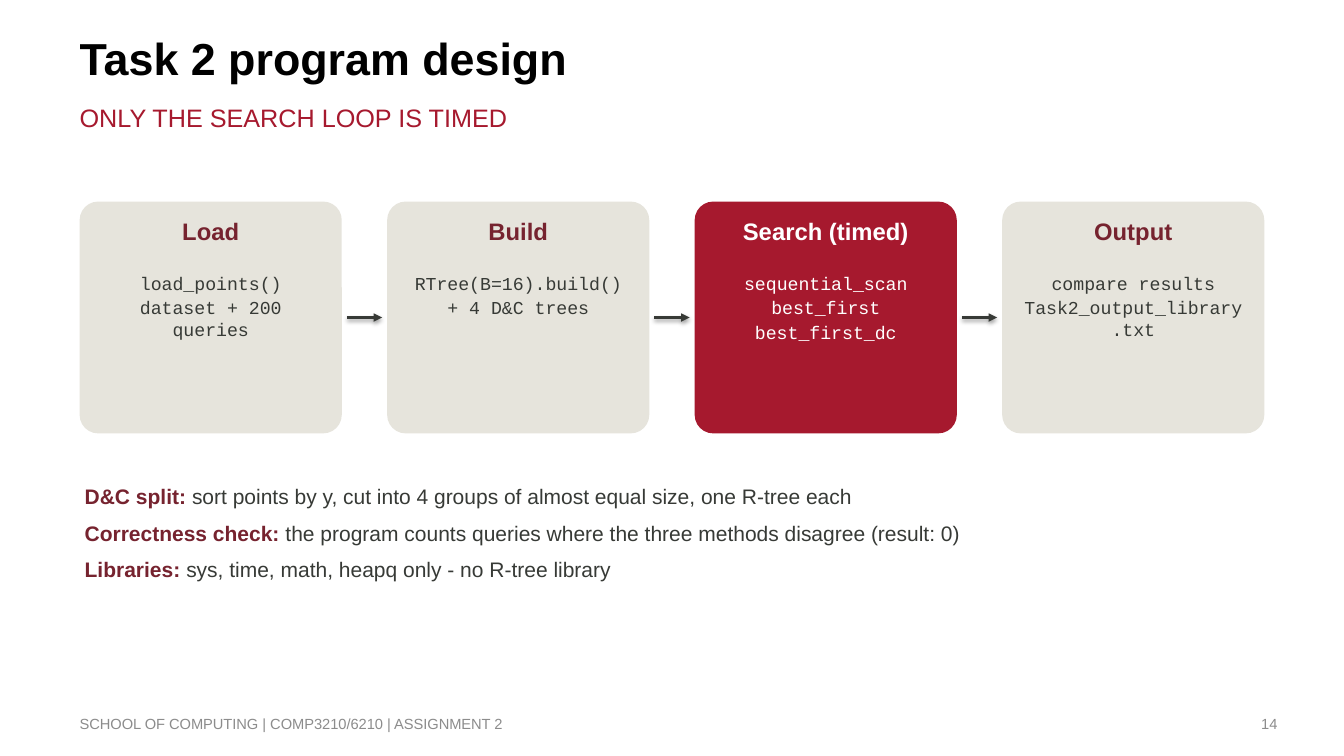
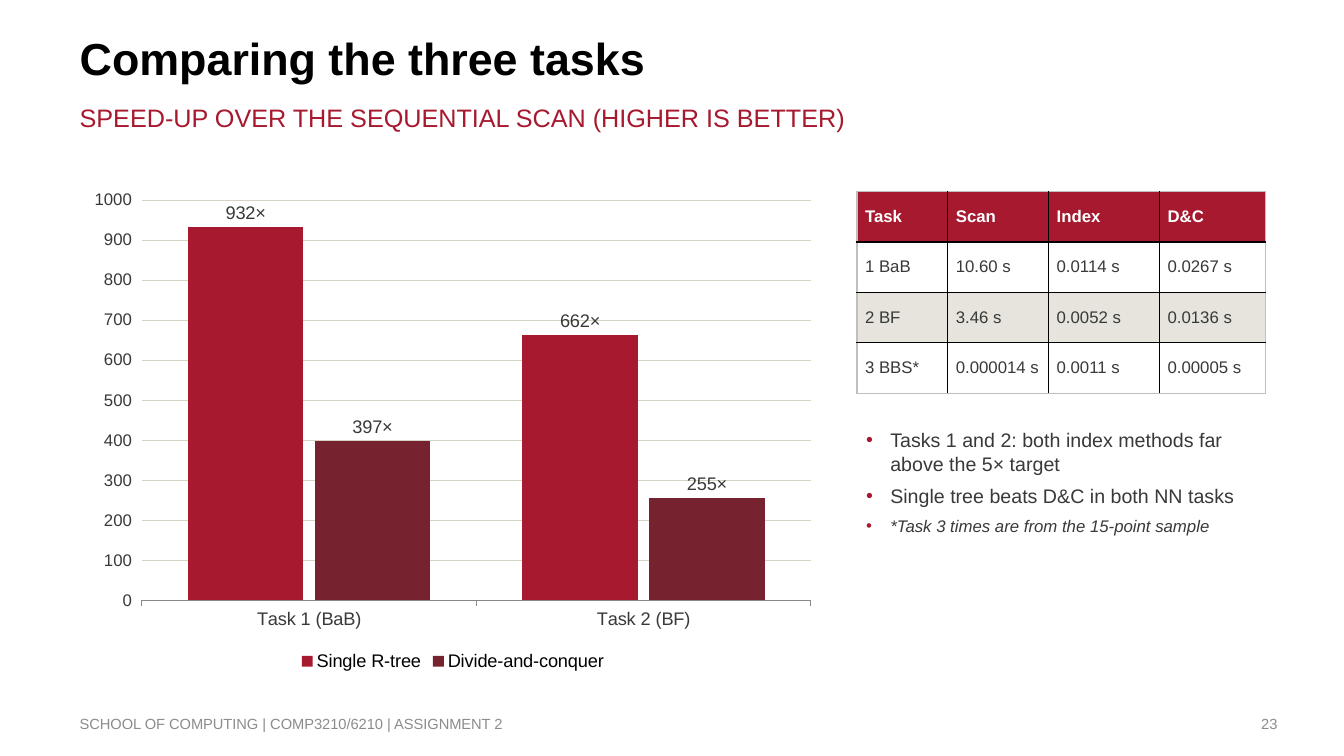
import pptx
import pptx.util
import pptx.chart.data
import pptx.dml.color
import pptx.enum.chart
import pptx.enum.shapes
import pptx.enum.text
import pptx.oxml
import pptx.oxml.ns

Inches, Pt = pptx.util.Inches, pptx.util.Pt
RGBColor = pptx.dml.color.RGBColor
ALIGN = pptx.enum.text.PP_ALIGN
ANCHOR = pptx.enum.text.MSO_ANCHOR
qn = pptx.oxml.ns.qn
NS = pptx.oxml.ns.nsdecls("a")

RED = RGBColor(0xA6, 0x19, 0x2E)
MAROON = RGBColor(0x76, 0x23, 0x2F)
SAND = RGBColor(0xE6, 0xE4, 0xDC)
GRID = RGBColor(0xD6, 0xD2, 0xC4)
INK = RGBColor(0x37, 0x3A, 0x36)
GRAY = RGBColor(0x8C, 0x8C, 0x8C)
EDGE = RGBColor(0xBF, 0xBF, 0xBF)
BLACK = RGBColor(0, 0, 0)
WHITE = RGBColor(255, 255, 255)

LEFT = 0.79
FOOTER = "SCHOOL OF COMPUTING | COMP3210/6210 | ASSIGNMENT 2"

TITLE_FONT = {"size": 32, "bold": True, "color": BLACK}
SUBTITLE_FONT = {"size": 18, "color": RED}
FOOTER_FONT = {"size": 10.5, "color": GRAY}
LABEL_FONT = {"size": 13, "color": INK}

STEPS = [
    ("Load", ["load_points()", "dataset + 200 queries"]),
    ("Build", ["RTree(B=16).build()", "+ 4 D&C trees"]),
    ("Search (timed)", ["sequential_scan", "best_first", "best_first_dc"]),
    ("Output", ["compare results", "Task2_output_library.txt"]),
]
TIMED_STEP = 2
NOTES = [
    ("D&C split: ", "sort points by y, cut into 4 groups of almost equal size, one R-tree each"),
    ("Correctness check: ", "the program counts queries where the three methods disagree (result: 0)"),
    ("Libraries: ", "sys, time, math, heapq only - no R-tree library"),
]

TASKS = ["Task 1 (BaB)", "Task 2 (BF)"]
SPEEDUPS = [("Single R-tree", [932, 662], RED), ("Divide-and-conquer", [397, 255], MAROON)]
COLUMN_WIDTHS = [0.9, 1, 1.1, 1.05]
ROW_HEIGHT = 0.5
TIMES = [
    ["Task", "Scan", "Index", "D&C"],
    ["1 BaB", "10.60 s", "0.0114 s", "0.0267 s"],
    ["2 BF", "3.46 s", "0.0052 s", "0.0136 s"],
    ["3 BBS*", "0.000014 s", "0.0011 s", "0.00005 s"],
]
FINDINGS = [
    ("Tasks 1 and 2: both index methods far above the 5× target", {"size": 14}),
    ("Single tree beats D&C in both NN tasks", {"size": 14}),
    ("*Task 3 times are from the 15-point sample", {"size": 12, "italic": True}),
]


def set_font(font, fmt):
    for key, value in ({"name": "Arial"} | fmt).items():
        if key == "color":
            font.color.rgb = value
        else:
            setattr(font, key, Pt(value) if key == "size" else value)


def add_text(slide, at, paragraphs, inset=0.05, anchor=ANCHOR.TOP, align=ALIGN.LEFT, after=0):
    """Add a text box; each paragraph is a list of (text, format) runs."""
    tf = slide.shapes.add_textbox(*map(Inches, at)).text_frame
    tf.word_wrap = True
    tf.vertical_anchor = anchor
    for side in ("left", "top", "right", "bottom"):
        setattr(tf, f"margin_{side}", Inches(inset))
    for i, runs in enumerate(paragraphs):
        p = tf.add_paragraph() if i else tf.paragraphs[0]
        p.alignment = align
        p.space_after = Pt(after)
        for text, fmt in runs:
            r = p.add_run()
            r.text = text
            set_font(r.font, fmt)
    return tf


def add_base_slide(prs, title, subtitle, number):
    """Add a blank slide with the shared heading and footer."""
    slide = prs.slides.add_slide(prs.slide_layouts[6])
    add_text(slide, (LEFT, 0.3, 9.25, 0.71), [[(title, TITLE_FONT)]], inset=0)
    add_text(slide, (LEFT, 1.02, 9.34, 0.46), [[(subtitle, SUBTITLE_FONT)]], inset=0)
    for x, w, text, align in ((LEFT, 5.88, FOOTER, ALIGN.LEFT), (9.56, 3.11, number, ALIGN.RIGHT)):
        add_text(slide, (x, 6.98, w, 0.4), [[(text, FOOTER_FONT)]],
                 inset=0, anchor=ANCHOR.MIDDLE, align=align)
    return slide


def add_arrow(slide, x1, x2, y):
    line = slide.shapes.add_connector(
        pptx.enum.shapes.MSO_CONNECTOR.STRAIGHT, Inches(x1), Inches(y), Inches(x2), Inches(y)).line
    line.color.rgb = INK
    line.width = Pt(2)
    line._get_or_add_ln().append(pptx.oxml.parse_xml(f'<a:tailEnd {NS} type="triangle"/>'))


def add_steps(slide):
    top, width, height, gap, pad = 2, 2.6, 2.3, 0.45, 0.15
    for i, (name, lines) in enumerate(STEPS):
        x = LEFT + i * (width + gap)
        timed = i == TIMED_STEP
        sp = slide.shapes.add_shape(pptx.enum.shapes.MSO_SHAPE.ROUNDED_RECTANGLE,
                                    Inches(x), Inches(top), Inches(width), Inches(height))
        sp.adjustments[0] = 0.08
        sp.shadow.inherit = False
        sp.fill.solid()
        sp.fill.fore_color.rgb = RED if timed else SAND
        sp.line.fill.background()
        name_font = {"size": 17, "bold": True, "color": WHITE if timed else MAROON}
        code_font = {"name": "Courier New", "size": 13, "color": WHITE if timed else INK}
        add_text(slide, (x + pad, top + 0.1, width - 2 * pad, 0.5), [[(name, name_font)]],
                 align=ALIGN.CENTER, after=6)
        add_text(slide, (x + pad, top + 0.65, width - 2 * pad, 1.5),
                 [[(line, code_font)] for line in lines], align=ALIGN.CENTER, after=2)
        if i < len(STEPS) - 1:
            add_arrow(slide, x + width + 0.05, x + width + gap - 0.05, top + height / 2)


def add_speedup_chart(slide):
    data = pptx.chart.data.CategoryChartData()
    data.categories = TASKS
    for name, values, _ in SPEEDUPS:
        data.add_series(name, values)
    chart = slide.shapes.add_chart(
        pptx.enum.chart.XL_CHART_TYPE.COLUMN_CLUSTERED,
        Inches(LEFT), Inches(1.8), Inches(7.4), Inches(4.9), data).chart
    set_font(chart.font, {"size": 18, "color": BLACK})
    chart.has_title = False
    chart.has_legend = True
    chart.legend.position = pptx.enum.chart.XL_LEGEND_POSITION.BOTTOM
    chart.legend.include_in_layout = False
    set_font(chart.legend.font, {"size": 13, "color": BLACK})

    set_font(chart.category_axis.tick_labels.font, LABEL_FONT)
    axis = chart.value_axis
    set_font(axis.tick_labels.font, LABEL_FONT | {"size": 12})
    axis.minimum_scale, axis.maximum_scale, axis.major_unit = 0, 1000, 100
    axis.format.line.fill.background()
    axis.major_gridlines.format.line.color.rgb = GRID
    axis.major_gridlines.format.line.width = Pt(0.75)

    plot = chart.plots[0]
    plot.vary_by_categories = False
    plot.gap_width, plot.overlap = 80, -10
    for series, (_, _, color) in zip(plot.series, SPEEDUPS):
        series.format.fill.solid()
        series.format.fill.fore_color.rgb = color
        labels = series.data_labels
        labels.show_value = True
        labels.position = pptx.enum.chart.XL_LABEL_POSITION.OUTSIDE_END
        labels.number_format = '0"×"'
        labels.number_format_is_linked = False
        set_font(labels.font, LABEL_FONT)


def set_borders(cell, colors):
    """Draw the left, right, top and bottom borders, which precede the cell fill."""
    tc_pr = cell._tc.get_or_add_tcPr()
    for i, (side, color) in enumerate(zip("LRTB", colors)):
        tc_pr.insert(i, pptx.oxml.parse_xml(
            f'<a:ln{side} {NS} w="12700"><a:solidFill><a:srgbClr val="{color}"/></a:solidFill></a:ln{side}>'))


def add_times_table(slide):
    rows, cols = len(TIMES), len(COLUMN_WIDTHS)
    table = slide.shapes.add_table(rows, cols, Inches(8.5), Inches(1.9),
                                   Inches(sum(COLUMN_WIDTHS)), Inches(rows * ROW_HEIGHT)).table
    for column, width in zip(table.columns, COLUMN_WIDTHS):
        column.width = Inches(width)
    for i, texts in enumerate(TIMES):
        table.rows[i].height = Inches(ROW_HEIGHT)
        header = i == 0
        fill = RED if header else WHITE if i % 2 else SAND
        for j, text in enumerate(texts):
            cell = table.cell(i, j)
            cell.vertical_anchor = ANCHOR.MIDDLE
            cell.margin_left = cell.margin_right = Inches(0.08)
            cell.margin_top = cell.margin_bottom = Inches(0.04)
            cell.fill.solid()
            cell.fill.fore_color.rgb = fill
            outer = (j == 0, j == cols - 1, i == 0, i == rows - 1)
            set_borders(cell, [EDGE if edge else BLACK for edge in outer])
            r = cell.text_frame.paragraphs[0].add_run()
            r.text = text
            set_font(r.font, {"size": 12, "bold": header, "color": WHITE if header else INK})


def add_bullets(tf):
    for p in tf.paragraphs:
        p_pr = p._p.get_or_add_pPr()
        p_pr.set("marL", str(Inches(0.28)))
        p_pr.set("indent", str(Inches(-0.24)))
        for xml in (f'<a:buClr {NS}><a:srgbClr val="{RED}"/></a:buClr>',
                    f'<a:buFont {NS} typeface="Arial"/>',
                    f'<a:buChar {NS} char="•"/>'):
            p_pr.append(pptx.oxml.parse_xml(xml))


def main():
    prs = pptx.Presentation()
    prs.slide_width, prs.slide_height = Inches(13.33), Inches(7.5)

    slide = add_base_slide(prs, "Task 2 program design", "ONLY THE SEARCH LOOP IS TIMED", "14")
    add_steps(slide)
    add_text(slide, (LEFT, 4.75, 11.76, 1.8),
             [[(lead, {"size": 15, "bold": True, "color": MAROON}), (rest, {"size": 15, "color": INK})]
              for lead, rest in NOTES], after=8)

    slide = add_base_slide(prs, "Comparing the three tasks",
                           "SPEED-UP OVER THE SEQUENTIAL SCAN (HIGHER IS BETTER)", "23")
    add_speedup_chart(slide)
    add_times_table(slide)
    add_bullets(add_text(slide, (8.5, 4.2, 4.05, 2.3),
                         [[(text, fmt | {"color": INK})] for text, fmt in FINDINGS], after=6))

    prs.save("out.pptx")


if __name__ == "__main__":
    main()
